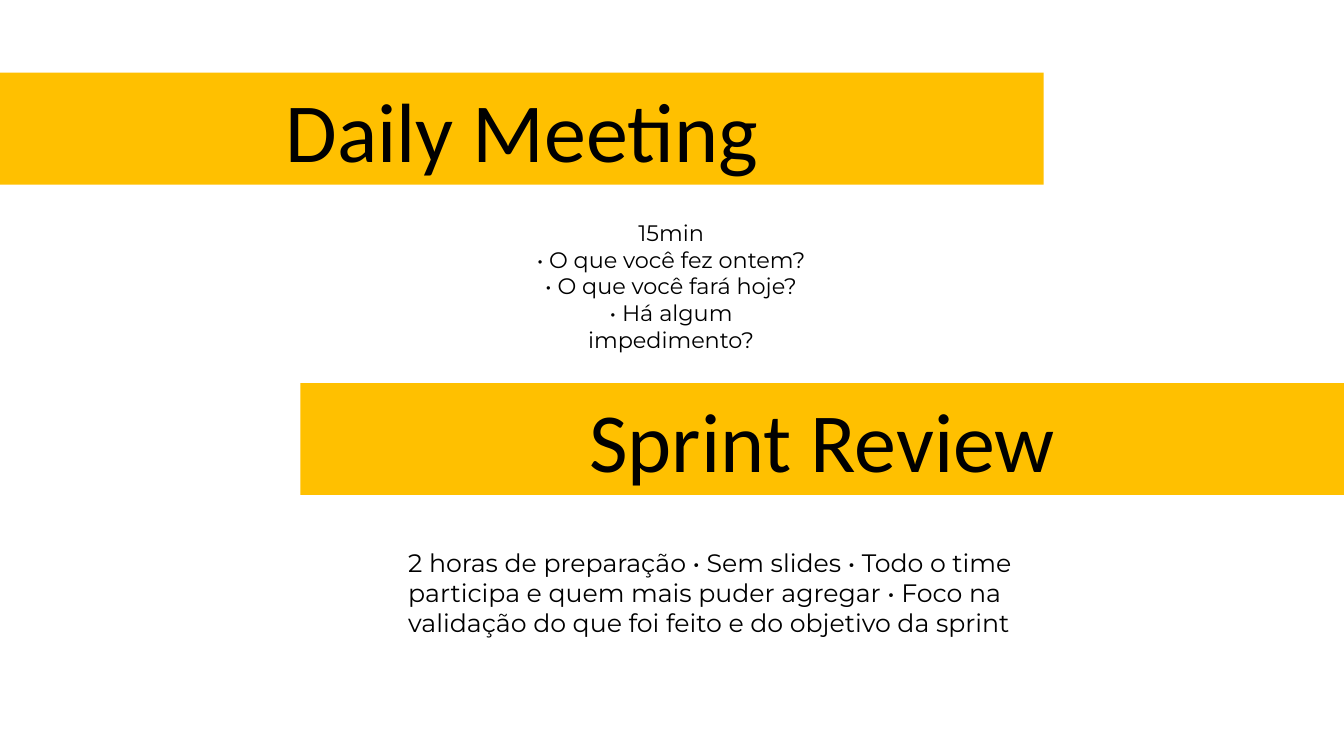
import pptx
import pptx.dml.color
import pptx.enum.shapes
import pptx.enum.text
import pptx.oxml.ns
import pptx.util
from lxml import etree

AMBER = pptx.dml.color.RGBColor(0xFF, 0xC0, 0x00)
BLACK = pptx.dml.color.RGBColor(0x00, 0x00, 0x00)
ALIGN = pptx.enum.text.PP_ALIGN
ANCHOR = pptx.enum.text.MSO_ANCHOR

COLUMNS, ROWS = 64, 36
BAND_WIDTH, BAND_HEIGHT = 49.7, 5.33

DAILY_QUESTIONS = [
    "15min",
    "• O que você fez ontem?",
    "• O que você fará hoje?",
    "• Há algum impedimento?",
]
REVIEW_SUMMARY = [
    "2 horas de preparação • Sem slides • Todo o time participa e quem mais "
    "puder agregar • Foco na validação do que foi feito e do objetivo da sprint"
]


def write(shape, lines, font, size, color=BLACK, align=ALIGN.CENTER, anchor=ANCHOR.TOP):
    """Fill a shape with one unbulleted, unindented paragraph per line."""
    frame = shape.text_frame
    frame.word_wrap = True
    frame.auto_size = pptx.enum.text.MSO_AUTO_SIZE.NONE
    frame.vertical_anchor = anchor
    frame.text = "\n".join(lines)
    for paragraph in frame.paragraphs:
        properties = paragraph._p.get_or_add_pPr()
        properties.set("marL", "0")
        properties.set("indent", "0")
        etree.SubElement(properties, pptx.oxml.ns.qn("a:buNone"))
        paragraph.alignment = align
        paragraph.space_before = pptx.util.Pt(0)
        paragraph.font.name = font
        paragraph.font.size = pptx.util.Pt(size)
        paragraph.font.color.rgb = color
        for run in paragraph.runs:
            run.font.name = font
            run.font.size = pptx.util.Pt(size)
            run.font.color.rgb = color


class CeremonySlide:
    heading_font, heading_size = "Calibri", 60
    body_font = "Montserrat"

    def __init__(self, deck):
        self.column = deck.slide_width / COLUMNS
        self.row = deck.slide_height / ROWS
        two_content = deck.slide_layouts[3]
        self.slide = deck.slides.add_slide(two_content)

    def box(self, left, top, width, height):
        """Turn grid columns and rows into slide lengths."""
        return (
            round(left * self.column),
            round(top * self.row),
            round(width * self.column),
            round(height * self.row),
        )

    def place(self, shape, *cells):
        shape.left, shape.top, shape.width, shape.height = self.box(*cells)

    def style_band(self, band, heading):
        band.fill.solid()
        band.fill.fore_color.rgb = AMBER
        band.line.fill.background()
        write(band, [heading], self.heading_font, self.heading_size, anchor=ANCHOR.MIDDLE)

    def title_band(self, heading, left, top):
        title = self.slide.shapes.title
        self.place(title, left, top, BAND_WIDTH, BAND_HEIGHT)
        self.style_band(title, heading)

    def section_band(self, heading, left, top):
        band = self.slide.shapes.add_shape(
            pptx.enum.shapes.MSO_SHAPE.RECTANGLE,
            *self.box(left, top, BAND_WIDTH, BAND_HEIGHT),
        )
        band.shadow.inherit = False
        self.style_band(band, heading)

    def body(self, index, lines, cells, size, align):
        details = self.slide.placeholders[index]
        self.place(details, *cells)
        write(details, lines, self.body_font, size, align=align)


def main():
    deck = pptx.Presentation()
    deck.slide_width = pptx.util.Inches(13.33)
    deck.slide_height = pptx.util.Inches(7.5)

    ceremonies = CeremonySlide(deck)
    ceremonies.title_band("Daily Meeting", 0, 3.46)
    ceremonies.body(1, DAILY_QUESTIONS, (25, 10.18, 13.92, 6.96), 16, ALIGN.CENTER)
    ceremonies.section_band("Sprint Review", COLUMNS - BAND_WIDTH, 18.24)
    ceremonies.body(2, REVIEW_SUMMARY, (18.96, 25.82, 32, 4.85), 18, ALIGN.LEFT)

    deck.save("out.pptx")


if __name__ == "__main__":
    main()
